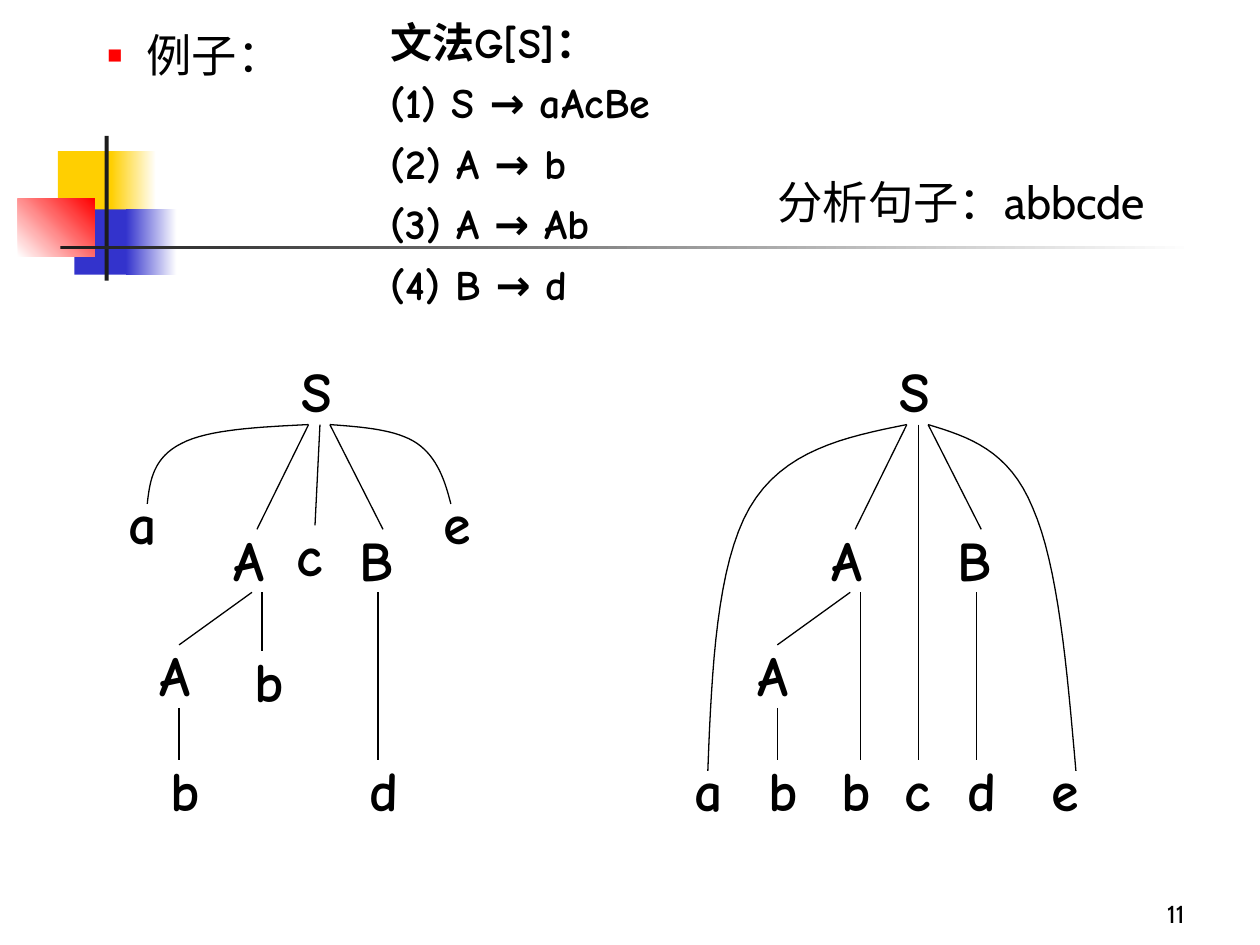
"""Builds the slide with the grammar G[S] and two syntax trees for abbcde."""
from lxml import etree
from pptx import Presentation
from pptx import util as u
from pptx.dml.color import RGBColor
from pptx.enum import shapes, text
from pptx.oxml import ns

COLOURS = {"black": "000000", "white": "FFFFFF", "yellow": "FFCF01",
           "blue": "3333CC", "red": "FF0000", "dark": "1C1C1C"}
BODY_FONT, TREE_FONT = "Cabin", "Comic Neue"
CURVE_STEPS = 16

DECORATION = [
    ((1.17, 3.05, 1.22, 1.32), ["yellow"], 0),
    ((2.24, 3.05, 0.91, 1.32), ["yellow", "white"], 0),
    ((1.5, 4.22, 1.17, 1.32), ["blue"], 0),
    ((2.54, 4.22, 1.02, 1.32), ["blue", "white"], 0),
    ((0.36, 4.01, 1.55, 1.17), ["white", "red"], 45),
    ((2.11, 2.74, 0.08, 2.92), ["dark"], 0),
    ((1.22, 4.95, 22.86, 0.08), ["dark", "white"], 0),
]

ROOT_Y, INNER_Y, LEAF_Y = 7.06, 10.46, 15.11
FORK_Y, BRANCH_Y, LEAF_TOP = 8.56, 11.94, 15.32
SHARED_LABELS = [("S", 5.82, ROOT_Y), ("A", 4.45, INNER_Y), ("A", 2.97, 12.78),
                 ("B", 6.99, INNER_Y), ("b", 3.18, LEAF_Y), ("d", 7.19, LEAF_Y)]
SHARED_LINES = [(6.22, FORK_Y, 5.18, 10.67), (6.65, FORK_Y, 7.72, 10.67),
                (5.08, BRANCH_Y, 3.61, 13), (3.61, 14.27, 3.61, LEAF_TOP),
                (7.62, BRANCH_Y, 7.62, LEAF_TOP)]
TREES = [
    {"left": 0,
     "labels": [("a", 2.34, 9.73), ("b", 4.88, 12.9), ("c", 5.72, 10.36), ("e", 8.69, 9.73)],
     "lines": [(5.28, BRANCH_Y, 5.28, 13.13), (6.45, FORK_Y, 6.35, 10.59)],
     "curve_y": [FORK_Y, 8.61, 8.66, 8.94, 9.22, 9.68, 10.16],
     "curves_x": [[6.22, 5.21, 4.19, 3.66, 3.1, 3.02, 2.97],
                  [6.65, 7.32, 8, 8.41, 8.81, 8.97, 9.09]]},
    {"left": 12.06,
     "labels": [(letter, x, LEAF_Y) for letter, x in
                [("a", 1.7), ("b", 4.65), ("c", 5.92), ("e", 8.89)]],
     "lines": [(x, y, x, LEAF_TOP) for x, y in [(5.28, BRANCH_Y), (6.45, FORK_Y)]],
     "curve_y": [FORK_Y, 8.81, 9.07, 10.24, 11.4, 13.46, 15.54],
     "curves_x": [[6.22, 4.98, 3.73, 3.05, 2.39, 2.29, 2.21],
                  [6.65, 7.47, 8.28, 8.76, 9.27, 9.45, 9.63]]},
]


def colour(name):
    """Return the named colour."""
    return RGBColor.from_string(COLOURS[name])


def bezier(points):
    """Return points along a chain of cubic curves."""
    result = [points[0]]
    for first in range(0, len(points) - 1, 3):
        a, b, c, d = points[first:first + 4]
        for step in range(1, CURVE_STEPS + 1):
            t = step / CURVE_STEPS
            s = 1 - t
            result.append(tuple(s**3 * a[i] + 3 * s * s * t * b[i] + 3 * s * t * t * c[i]
                                + t**3 * d[i] for i in (0, 1)))
    return result


class SlideStyle:
    """Holds the style, the slide and the shape collection being drawn on."""

    def __init__(self, slide):
        """Start drawing on the slide."""
        self.slide = slide
        self.canvas = slide.shapes

    def block(self, box, fills, angle):
        """Add a rectangle with a plain or gradient fill."""
        shape = self.canvas.add_shape(shapes.MSO_SHAPE.RECTANGLE, *map(u.Cm, box))
        shape.shadow.inherit = False
        shape.line.fill.background()
        if len(fills) == 1:
            shape.fill.solid()
            shape.fill.fore_color.rgb = colour(fills[0])
            return
        shape.fill.gradient()
        shape.fill.gradient_angle = angle
        for stop, name, position in zip(shape.fill.gradient_stops, fills, (0, 1)):
            stop.color.rgb = colour(name)
            stop.position = position

    def set_words(self, shape, words, size, font, bold=False, spacing=1.0,
                  align=text.PP_ALIGN.LEFT, anchor=text.MSO_ANCHOR.TOP):
        """Put formatted words into a shape and return the paragraph."""
        frame = shape.text_frame
        frame.word_wrap = True
        frame.auto_size = text.MSO_AUTO_SIZE.NONE
        frame.vertical_anchor = anchor
        paragraph = frame.paragraphs[0]
        paragraph.text = words
        paragraph.alignment = align
        paragraph.line_spacing = spacing
        paragraph.space_before = u.Pt(0)
        for run in paragraph.runs:
            run.font.size = u.Pt(size)
            run.font.name = font
            run.font.bold = bold
            run.font.color.rgb = colour("black")
        return paragraph

    def textbox(self, box, words, size, font, **options):
        """Add a text box."""
        shape = self.canvas.add_textbox(*map(u.Cm, box))
        return self.set_words(shape, words, size, font, **options)

    def placeholder(self, index, box, words):
        """Move and fill a template placeholder."""
        shape = self.slide.placeholders[index]
        shape.left, shape.top, shape.width, shape.height = map(u.Cm, box)
        return self.set_words(shape, words, 25.9, BODY_FONT)

    def bullet(self, paragraph):
        """Give a paragraph a small red square."""
        properties = paragraph._p.get_or_add_pPr()
        properties.set("marL", str(u.Cm(2.06)))
        properties.set("indent", str(u.Cm(-0.79)))
        bullet_colour = etree.SubElement(properties, ns.qn("a:buClr"))
        etree.SubElement(bullet_colour, ns.qn("a:srgbClr"), val=COLOURS["red"])
        etree.SubElement(properties, ns.qn("a:buSzPct"), val="55000")
        etree.SubElement(properties, ns.qn("a:buChar"), char="■")

    def outline(self, shape):
        """Give a shape the thin black tree line."""
        shape.line.color.rgb = colour("black")
        shape.line.width = u.Pt(0.75)

    def branch(self, ends):
        """Add a straight tree branch."""
        connector = self.canvas.add_connector(shapes.MSO_CONNECTOR.STRAIGHT, *map(u.Cm, ends))
        self.outline(connector)
        etree.SubElement(connector._element.spPr, ns.qn("a:effectLst"))

    def curve(self, points):
        """Add a curved tree branch."""
        start, *others = [(u.Cm(x), u.Cm(y)) for x, y in bezier(points)]
        builder = self.canvas.build_freeform(*start)
        builder.add_line_segments(others, close=False)
        shape = builder.convert_to_shape()
        shape.shadow.inherit = False
        shape.fill.background()
        self.outline(shape)

    def tree(self, left, labels, lines, curve_y, curves_x):
        """Add a grouped syntax tree."""
        self.canvas = self.slide.shapes.add_group_shape().shapes
        for letter, x, y in SHARED_LABELS + labels:
            width = 1.07 if letter.isupper() else 0.84
            self.textbox((left + x, y, width, 1.63), letter, 32, TREE_FONT, bold=True)
        for x1, y1, x2, y2 in SHARED_LINES + lines:
            self.branch((left + x1, y1, left + x2, y2))
        for curve_x in curves_x:
            self.curve([(left + x, y) for x, y in zip(curve_x, curve_y)])
        self.canvas = self.slide.shapes


def main():
    """Build and save the slide."""
    presentation = Presentation()
    presentation.slide_width, presentation.slide_height = u.Cm(25.4), u.Cm(19.05)
    style = SlideStyle(presentation.slides.add_slide(presentation.slide_layouts[1]))
    for box, fills, angle in DECORATION:
        style.block(box, fills, angle)
    style.textbox((18.85, 17.58, 5.28, 1.27), "11", 14, BODY_FONT,
                  align=text.PP_ALIGN.RIGHT, anchor=text.MSO_ANCHOR.BOTTOM)
    style.bullet(style.placeholder(1, (0.64, 0.43, 7.21, 1.4), "例子："))
    style.placeholder(0, (15.42, 3.38, 9.98, 1.4), "分析句子：abbcde")
    grammar = ["文法G[S]：", "(1) S → aAcBe", "(2) A → b", "(3) A → Ab", "(4) B → d"]
    style.textbox((7.62, 0, 7.21, 6.35), "\v".join(grammar), 24, TREE_FONT,
                  bold=True, spacing=1.2)
    for tree in TREES:
        style.tree(**tree)
    presentation.save("out.pptx")


if __name__ == "__main__":
    main()
